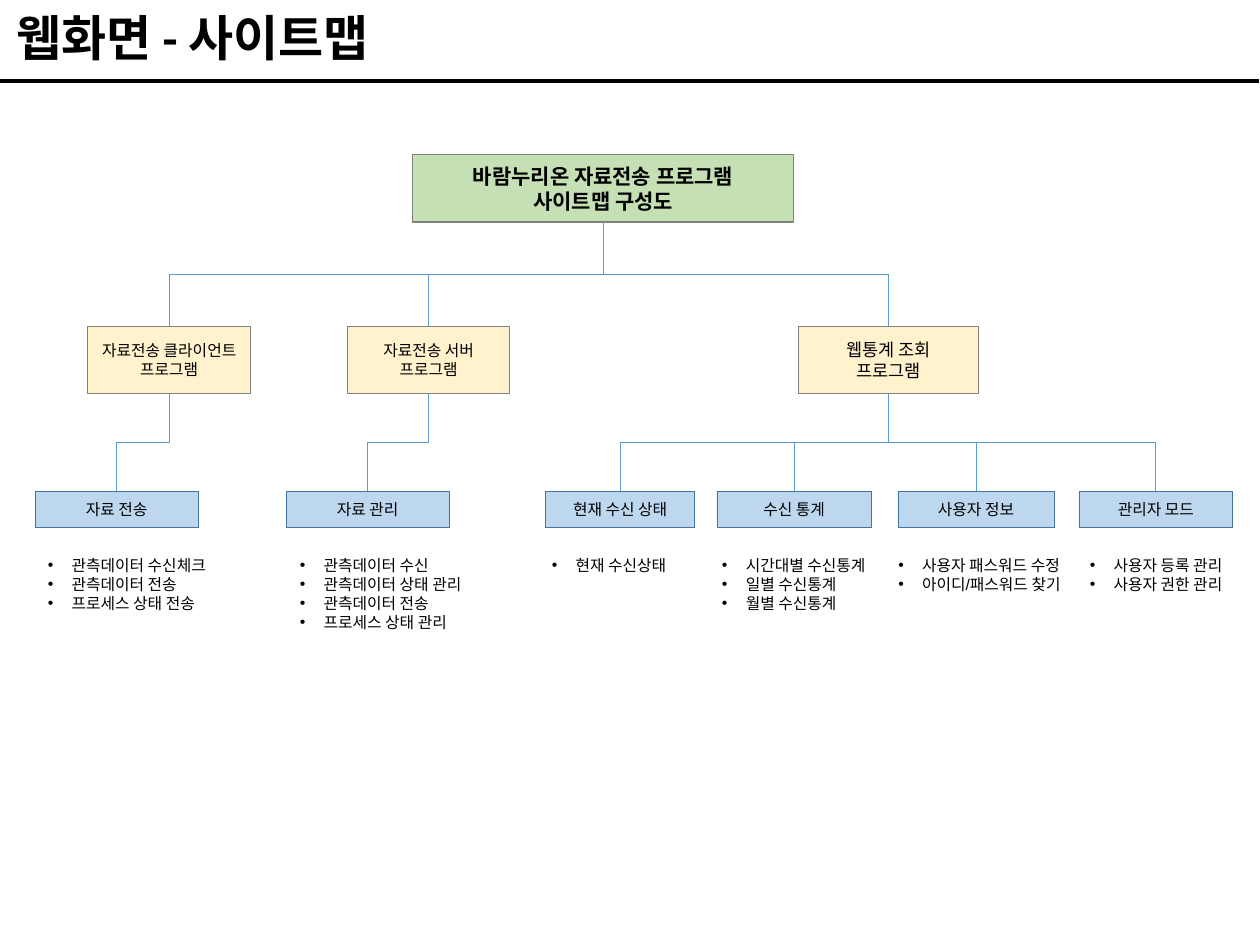
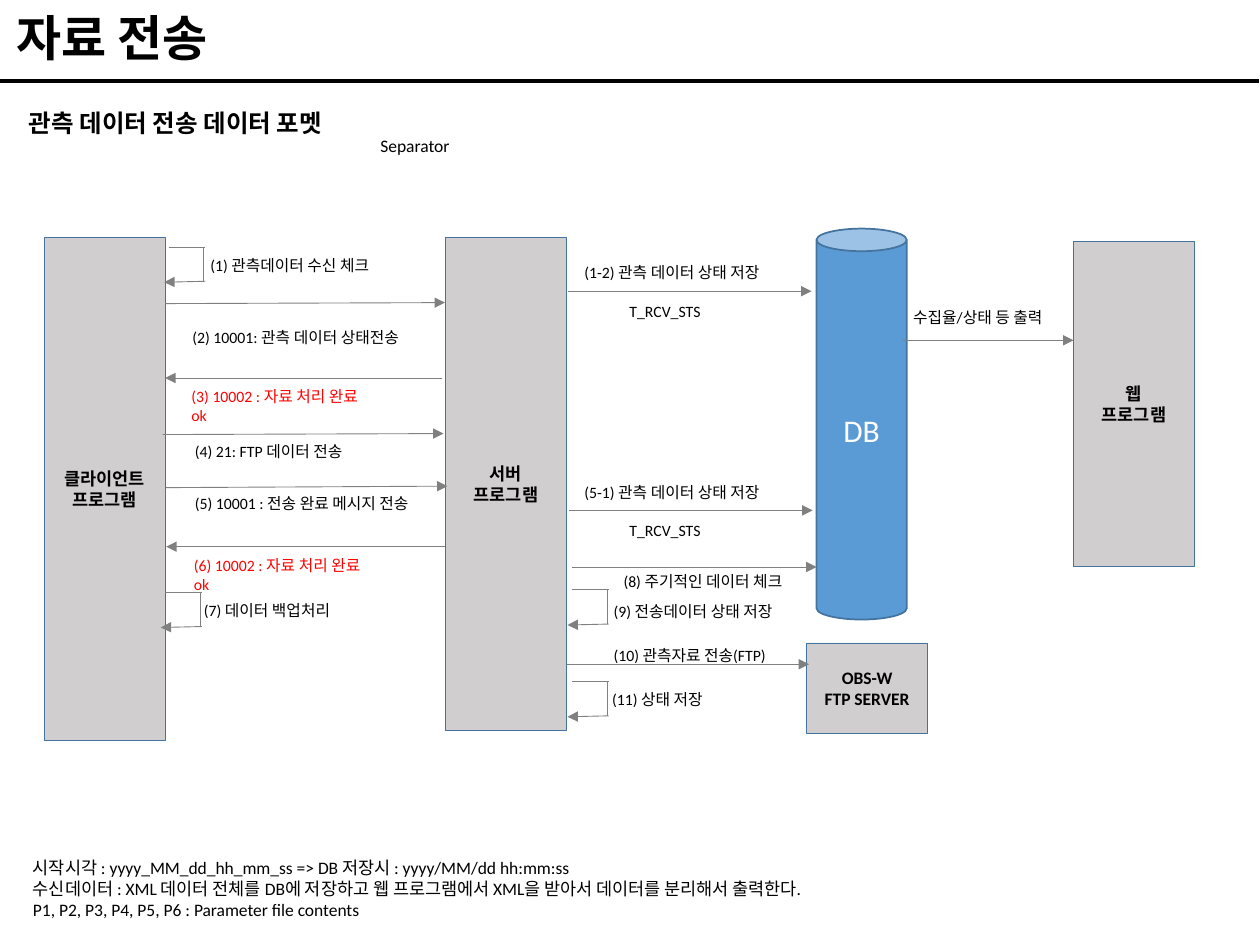
from dataclasses import dataclass

from lxml.etree import SubElement
from pptx import Presentation
from pptx.dml.color import RGBColor
from pptx.enum.shapes import MSO_CONNECTOR as Route, MSO_SHAPE as Preset
from pptx.enum.text import MSO_ANCHOR as Anchor, MSO_AUTO_SIZE as AutoSize, PP_ALIGN as Align
from pptx.oxml.ns import qn
from pptx.util import Cm, Pt

BLACK = RGBColor(0x00, 0x00, 0x00)
WHITE = RGBColor(0xFF, 0xFF, 0xFF)
RED = RGBColor(0xFF, 0x00, 0x00)
GRAY = RGBColor(0x80, 0x80, 0x80)
SILVER = RGBColor(0xD0, 0xCE, 0xCE)
GREEN = RGBColor(0xC5, 0xE0, 0xB4)
CREAM = RGBColor(0xFF, 0xF2, 0xCC)
SKY = RGBColor(0xBD, 0xD7, 0xEE)
BLUE = RGBColor(0x5B, 0x9B, 0xD5)
NAVY = RGBColor(0x43, 0x73, 0x9E)

TITLE_CONTENT, COMPARISON = 1, 4
LINE_HEIGHT = 0.39
BULLET_INDENT = 0.48


@dataclass(frozen=True)
class Area:
    """A rectangle in centimetres."""
    left: float
    top: float
    width: float
    height: float

    @property
    def middle(self) -> float:
        return self.left + self.width / 2

    @property
    def bottom(self) -> float:
        return self.top + self.height

    def lengths(self) -> list:
        return [Cm(self.left), Cm(self.top), Cm(self.width), Cm(self.height)]


@dataclass(frozen=True)
class Look:
    """How a block of text is set."""
    size: float = 9
    name: str = "Calibri"
    color: RGBColor = BLACK
    bold: bool = False
    align: Align = Align.LEFT
    anchor: Anchor = Anchor.TOP
    spacing: float = 1.0
    bullet: str = ""


@dataclass(frozen=True)
class Box:
    area: Area
    lines: tuple
    look: Look
    fill: RGBColor
    line: RGBColor = NAVY
    weight: float = 0.25
    preset: Preset = Preset.RECTANGLE
    inset: float = 0.25


@dataclass(frozen=True)
class Node:
    """A site map branch with its leaves."""
    box: Box
    leaves: tuple


@dataclass(frozen=True)
class Leaf:
    box: Box
    items: tuple
    items_left: float
    items_width: float


@dataclass(frozen=True)
class Label:
    left: float
    top: float
    width: float
    text: str
    look: Look = Look()
    height: float = 0.64


CENTERED = {"align": Align.CENTER, "anchor": Anchor.MIDDLE}
TITLE = Look(28, bold=True, anchor=Anchor.BOTTOM, spacing=0.9)
HEADING = Look(14, "Arial", bold=True)
ITEMS = Look(9, "Arial", bullet="•")
NOTE = Look(10)
REPLY = Look(color=RED)
PANEL = Look(10, bold=True, **CENTERED)


def apply(target, values: dict) -> None:
    for key, value in values.items():
        setattr(target, key, value)


def set_bullet(para, bullet: str) -> None:
    props = para._p.get_or_add_pPr()
    indent = Cm(BULLET_INDENT) if bullet else 0
    props.set("marL", str(indent))
    props.set("indent", str(-indent))
    if bullet:
        SubElement(props, qn("a:buFont")).set("typeface", "Arial")
        SubElement(props, qn("a:buChar")).set("char", bullet)
    else:
        SubElement(props, qn("a:buNone"))


def write(frame, lines: tuple, look: Look) -> None:
    apply(frame, {"word_wrap": True, "auto_size": AutoSize.NONE, "vertical_anchor": look.anchor})
    for number, line in enumerate(lines):
        para = frame.add_paragraph() if number else frame.paragraphs[0]
        apply(para, {"alignment": look.align, "line_spacing": look.spacing,
                     "space_before": Pt(0), "space_after": Pt(0)})
        set_bullet(para, look.bullet)
        span = para.add_run()
        span.text = line
        apply(span.font, {"size": Pt(look.size), "name": look.name, "bold": look.bold})
        span.font.color.rgb = look.color


def fill_placeholder(holder, area: Area, lines: tuple, look: Look) -> None:
    apply(holder, dict(zip(("left", "top", "width", "height"), area.lengths())))
    write(holder.text_frame, lines, look)


def add_text(page, area: Area, lines: tuple, look: Look):
    box = page.shapes.add_textbox(*area.lengths())
    write(box.text_frame, lines, look)
    return box.text_frame


def add_box(page, box: Box) -> None:
    shape = page.shapes.add_shape(box.preset, *box.area.lengths())
    shape.shadow.inherit = False
    shape.fill.solid()
    shape.fill.fore_color.rgb = box.fill
    shape.line.color.rgb = box.line
    shape.line.width = Pt(box.weight)
    apply(shape.text_frame, {"margin_left": Cm(box.inset), "margin_right": Cm(box.inset)})
    write(shape.text_frame, box.lines, box.look)


def add_line(page, start: tuple, end: tuple, color: RGBColor = GRAY, weight: float = 0.5,
             arrow: bool = False, route: Route = Route.STRAIGHT):
    line = page.shapes.add_connector(route, *(Cm(value) for value in start + end))
    line.line.color.rgb = color
    line.line.width = Pt(weight)
    if arrow:
        SubElement(line.line._get_or_add_ln(), qn("a:tailEnd")).set("type", "triangle")
    SubElement(line._element.spPr, qn("a:effectLst"))
    return line


def add_branch(page, parent: Area, child: Area) -> None:
    """Elbow from the parent's bottom to the child's top: a level elbow turned by 90 degrees."""
    drop, shift = child.top - parent.bottom, child.middle - parent.middle
    x, y = (parent.middle + child.middle) / 2, (parent.bottom + child.top) / 2
    elbow = add_line(page, (x - drop / 2, y + shift / 2), (x + drop / 2, y - shift / 2),
                     BLUE, route=Route.ELBOW)
    elbow._element.spPr.find(qn("a:xfrm")).set("rot", "5400000")


def add_loop(page, left: float, top: float) -> None:
    """Arrow that leaves a panel and returns to it."""
    right, bottom = left + 0.74, top + 0.69
    add_line(page, (left, top), (right, top))
    add_line(page, (right - 0.03, top), (right - 0.03, bottom))
    add_line(page, (right, bottom), (left - 0.09, bottom + 0.02), arrow=True)


def add_page(deck, layout: int, title: str):
    page = deck.slides.add_slide(deck.slide_layouts[layout])
    add_line(page, (0, 1.63), (25.38, 1.63), BLACK, 2.25)
    fill_placeholder(page.shapes.title, Area(0.08, 0.08, 25.22, 1.4), (title,), TITLE)
    return page


def leaf(left: float, width: float, name: str, items_left: float, items_width: float,
         *items: str) -> Leaf:
    box = Box(Area(left, 9.91, width, 0.72), (name,), Look(**CENTERED), SKY)
    return Leaf(box, items, items_left, items_width)


def branch(left: float, width: float, size: float, name: str, *leaves: Leaf) -> Node:
    look = Look(size, "Arial", **CENTERED)
    area = Area(left, 6.58, width, 1.36)
    return Node(Box(area, (name, "프로그램"), look, CREAM, GRAY, 0.75, inset=0.1), leaves)


ROOT = Box(Area(8.32, 3.12, 7.68, 1.36), ("바람누리온 자료전송 프로그램", "사이트맵 구성도"),
           Look(12, "Arial", bold=True, **CENTERED), GREEN, GRAY, 0.75, inset=0.1)
BRANCHES = (
    branch(1.77, 3.28, 9, "자료전송 클라이언트",
           leaf(0.71, 3.28, "자료 전송", 0.71, 3.99,
                "관측데이터 수신체크", "관측데이터 전송", "프로세스 상태 전송")),
    branch(7.0, 3.28, 9, "자료전송 서버",
           leaf(5.77, 3.28, "자료 관리", 5.79, 4.09, "관측데이터 수신",
                "관측데이터 상태 관리", "관측데이터 전송", "프로세스 상태 관리")),
    branch(16.1, 3.63, 10, "웹통계 조회",
           leaf(11.0, 3.0, "현재 수신 상태", 10.87, 3.02, "현재 수신상태"),
           leaf(14.45, 3.12, "수신 통계", 14.3, 3.66,
                "시간대별 수신통계", "일별 수신통계", "월별 수신통계"),
           leaf(18.1, 3.15, "사용자 정보", 17.86, 4.09,
                "사용자 패스워드 수정", "아이디/패스워드 찾기"),
           leaf(21.75, 3.1, "관리자 모드", 21.72, 3.45, "사용자 등록 관리", "사용자 권한 관리")),
)

PANELS = (
    Box(Area(0.89, 4.78, 2.44, 10.15), ("클라이언트", "프로그램"), PANEL, SILVER),
    Box(Area(8.98, 4.78, 2.44, 9.94), ("서버", "프로그램"), PANEL, SILVER),
    Box(Area(21.64, 4.86, 2.44, 6.56), ("웹", "프로그램"), PANEL, SILVER),
    Box(Area(16.26, 12.96, 2.44, 1.83), ("OBS-W", "FTP SERVER"), PANEL, SILVER),
    Box(Area(16.46, 4.61, 1.82, 7.88), ("DB",), Look(18, color=WHITE, **CENTERED), BLUE,
        weight=1, preset=Preset.CAN),
)
ARROWS = (
    ((3.33, 6.12), (8.97, 6.1)),
    ((8.92, 7.62), (3.33, 7.62)),
    ((3.28, 8.76), (8.94, 8.74)),
    ((3.35, 9.83), (9.02, 9.8)),
    ((8.97, 11.02), (3.35, 11.02)),
    ((11.46, 5.87), (16.36, 5.87)),
    ((11.48, 10.29), (16.38, 10.29)),
    ((11.53, 11.43), (16.46, 11.43)),
    ((11.43, 13.39), (16.31, 13.39)),
    ((18.21, 6.86), (21.64, 6.86)),
)
LOOPS = ((3.4, 4.98), (3.33, 11.94), (11.53, 11.89), (11.53, 13.74))
LABELS = (
    Label(0.33, 2.06, 7.19, "관측 데이터 전송 데이터 포멧", HEADING, 0.86),
    Label(7.42, 2.59, 1.93, "Separator", NOTE, 0.69),
    Label(3.99, 5.03, 3.96, "(1) 관측데이터 수신 체크"),
    Label(3.63, 6.48, 4.93, "(2) 10001: 관측 데이터 상태전송"),
    Label(3.61, 7.67, 4.1, "(3) 10002 : 자료 처리 완료 ok", REPLY),
    Label(3.68, 8.79, 3.9, "(4) 21: FTP 데이터 전송"),
    Label(3.68, 9.83, 5.08, "(5) 10001 : 전송 완료 메시지 전송"),
    Label(3.66, 11.07, 4.1, "(6) 10002 : 자료 처리 완료 ok", REPLY),
    Label(3.86, 11.99, 3.4, "(7) 데이터 백업처리"),
    Label(12.32, 11.4, 3.96, "(8) 주기적인 데이터 체크"),
    Label(12.12, 12.01, 3.96, "(9) 전송데이터 상태 저장"),
    Label(12.12, 12.9, 4.0, "(10) 관측자료 전송(FTP)"),
    Label(12.09, 13.79, 2.6, "(11) 상태 저장"),
    Label(18.16, 6.07, 3.5, "수집율/상태 등 출력"),
)
STATUS_SAVES = ((5.18, "(1-2)"), (9.6, "(5-1)"))
NOTES = (
    "시작시각 : yyyy_MM_dd_hh_mm_ss => DB 저장시 : yyyy/MM/dd hh:mm:ss",
    "수신데이터 : XML 데이터 전체를 DB에 저장하고 웹 프로그램에서 XML을 받아서 데이터를 분리해서 출력한다.",
    "P1, P2, P3, P4, P5, P6 : Parameter file contents",
)


def add_site_map(deck) -> None:
    page = add_page(deck, COMPARISON, "웹화면 - 사이트맵")
    bodies = iter(list(page.placeholders)[1:])
    add_box(page, ROOT)
    for node in BRANCHES:
        add_branch(page, ROOT.area, node.box.area)
        add_box(page, node.box)
        for entry in node.leaves:
            add_branch(page, node.box.area, entry.box.area)
            add_box(page, entry.box)
            height = 0.25 + LINE_HEIGHT * len(entry.items)
            area = Area(entry.items_left, 11.07, entry.items_width, height)
            body = next(bodies, None)
            if body is None:
                add_text(page, area, entry.items, ITEMS)
            else:
                fill_placeholder(body, area, entry.items, ITEMS)


def add_transfer(deck) -> None:
    page = add_page(deck, TITLE_CONTENT, "자료 전송")
    fill_placeholder(page.placeholders[1], Area(0.41, 17.15, 24.56, 1.55), NOTES, NOTE)
    for panel in PANELS:
        add_box(page, panel)
    for start, end in ARROWS:
        add_line(page, start, end, arrow=True)
    for left, top in LOOPS:
        add_loop(page, left, top)
    for label in LABELS:
        area = Area(label.left, label.top, label.width, label.height)
        add_text(page, area, (label.text,), label.look)
    for top, step in STATUS_SAVES:
        lines = (f"{step} 관측 데이터 상태 저장", "T_RCV_STS")
        table_name = add_text(page, Area(11.53, top, 4.29, 1.42), lines, Look()).paragraphs[1]
        table_name.space_before = Pt(11)
        table_name._p.pPr.set("marL", str(Cm(0.91)))


def main() -> None:
    deck = Presentation()
    apply(deck, {"slide_width": Cm(25.4), "slide_height": Cm(19.05)})
    add_site_map(deck)
    add_transfer(deck)
    deck.save("out.pptx")


if __name__ == "__main__":
    main()
